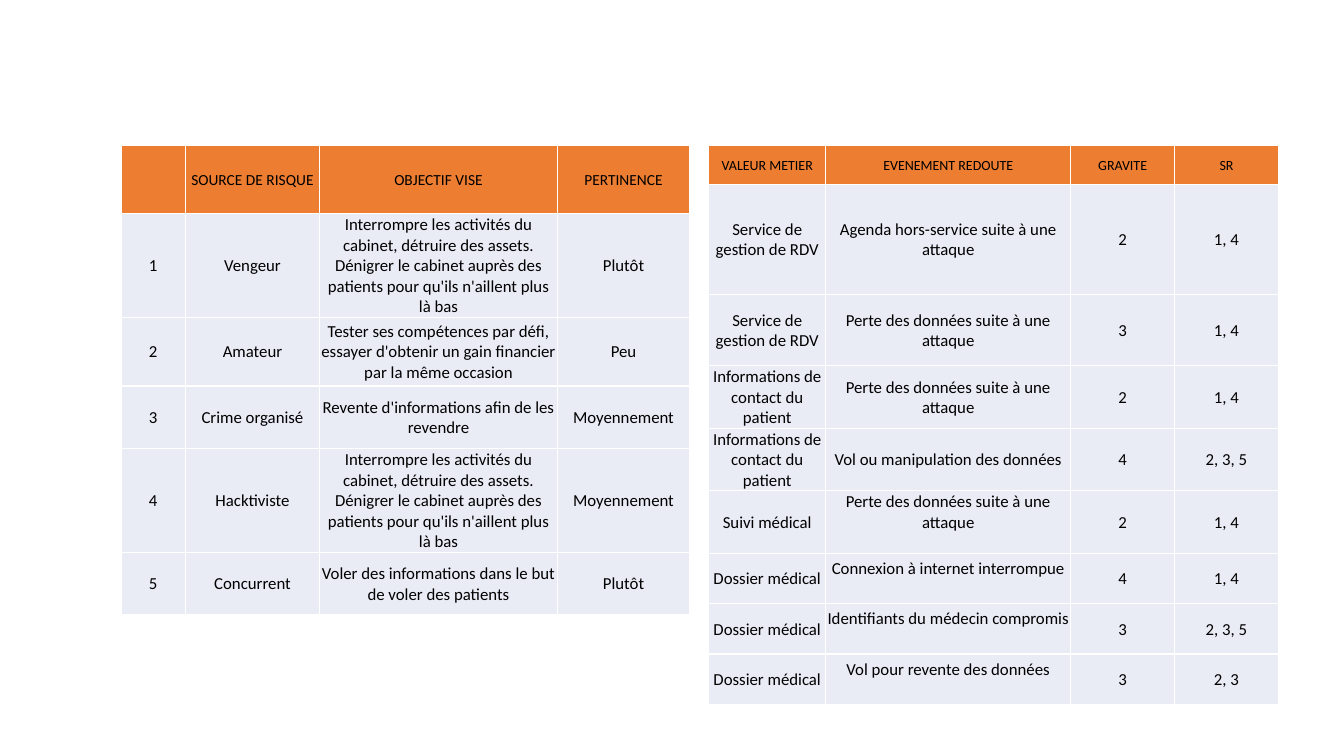
"""Slide with two risk analysis tables: risk sources and feared events."""
from pptx import Presentation
from pptx.dml.color import RGBColor
from pptx.enum.text import MSO_ANCHOR, PP_ALIGN
from pptx.oxml import parse_xml
from pptx.oxml.ns import nsdecls
from pptx.util import Inches, Pt

ORANGE = RGBColor(0xED, 0x7D, 0x31)
PALE = RGBColor(0xE9, 0xEB, 0xF5)
WHITE = RGBColor(0xFF, 0xFF, 0xFF)
BLACK = RGBColor(0, 0, 0)
TOP = 1.44
INSET = 0.01
LINE = 0.2

SABOTAGE = ("Interrompre les activités du cabinet, détruire des assets.\n"
            "Dénigrer le cabinet auprès des patients pour qu'ils n'aillent plus là bas")
LOSS = "Perte des données suite à une attaque"
BOOKING = "Service de gestion de RDV"
CONTACT = "Informations de contact du patient"
RECORD = "Dossier médical"

sources = [
    ("", "SOURCE DE RISQUE", "OBJECTIF VISE", "PERTINENCE"),
    ("1", "Vengeur", SABOTAGE, "Plutôt"),
    ("2", "Amateur", "Tester ses compétences par défi, essayer d'obtenir "
     "un gain financier par la même occasion", "Peu"),
    ("3", "Crime organisé", "Revente d'informations afin de les revendre", "Moyennement"),
    ("4", "Hacktiviste", SABOTAGE, "Moyennement"),
    ("5", "Concurrent", "Voler des informations dans le but de voler des patients", "Plutôt"),
]
events = [
    ("VALEUR METIER", "EVENEMENT REDOUTE", "GRAVITE", "SR"),
    (BOOKING, "Agenda hors-service suite à une attaque", "2", "1, 4"),
    (BOOKING, LOSS, "3", "1, 4"),
    (CONTACT, LOSS, "2", "1, 4"),
    (CONTACT, "Vol ou manipulation des données", "4", "2, 3, 5"),
    ("Suivi médical", LOSS, "2", "1, 4"),
    (RECORD, "Connexion à internet interrompue", "4", "1, 4"),
    (RECORD, "Identifiants du médecin compromis", "3", "2, 3, 5"),
    (RECORD, "Vol pour revente des données", "3", "2, 3"),
]
raised_events = {(row, 1) for row in range(5, 9)}


def style_cell(cell, fill):
    """Give a cell white borders, a fill and narrow insets."""
    tc_pr = cell._tc.get_or_add_tcPr()
    for side in ("lnL", "lnR", "lnT", "lnB"):
        tc_pr.append(parse_xml(
            f'<a:{side} {nsdecls("a")} w="{Pt(1)}"><a:solidFill>'
            f'<a:srgbClr val="{WHITE}"/></a:solidFill></a:{side}>'))
    cell.fill.solid()
    cell.fill.fore_color.rgb = fill
    cell.vertical_anchor = MSO_ANCHOR.MIDDLE
    cell.margin_left = cell.margin_right = cell.margin_top = Inches(INSET)
    cell.margin_bottom = 0


def add_risk_table(s, left, widths, heights, rows, header_size, raised=()):
    """Add a table; raised cells keep one free line below their text."""
    table = s.shapes.add_table(
        len(rows), len(widths), Inches(left), Inches(TOP),
        Inches(sum(widths)), Inches(sum(heights))).table
    for column, width in zip(table.columns, widths):
        column.width = Inches(width)
    for i, (values, height) in enumerate(zip(rows, heights)):
        table.rows[i].height = Inches(height)
        for j, value in enumerate(values):
            cell = table.cell(i, j)
            style_cell(cell, PALE if i else ORANGE)
            if (i, j) in raised:
                cell.margin_bottom = Inches(LINE)
            p = cell.text_frame.paragraphs[0]
            p.alignment = PP_ALIGN.CENTER
            for k, line in enumerate(value.split("\n") if value else []):
                if k:
                    p.add_line_break()
                r = p.add_run()
                r.text = line
                r.font.name = "Calibri"
                r.font.size = Pt(12 if i else header_size)
                r.font.bold = False
                r.font.color.rgb = BLACK


prs = Presentation()
prs.slide_width, prs.slide_height = Inches(13.33), Inches(7.5)
s = prs.slides.add_slide(prs.slide_layouts[6])

add_risk_table(s, 1.2, [0.64, 1.33, 2.36, 1.31],
               [0.68, 1.03, 0.68, 0.62, 1.03, 0.62], sources, 11)
add_risk_table(s, 7.03, [1.16, 2.43, 1.03, 1.03],
               [0.39, 1.09, 0.71] + [0.62] * 3 + [0.5] * 3, events, 10, raised_events)

prs.save("out.pptx")
